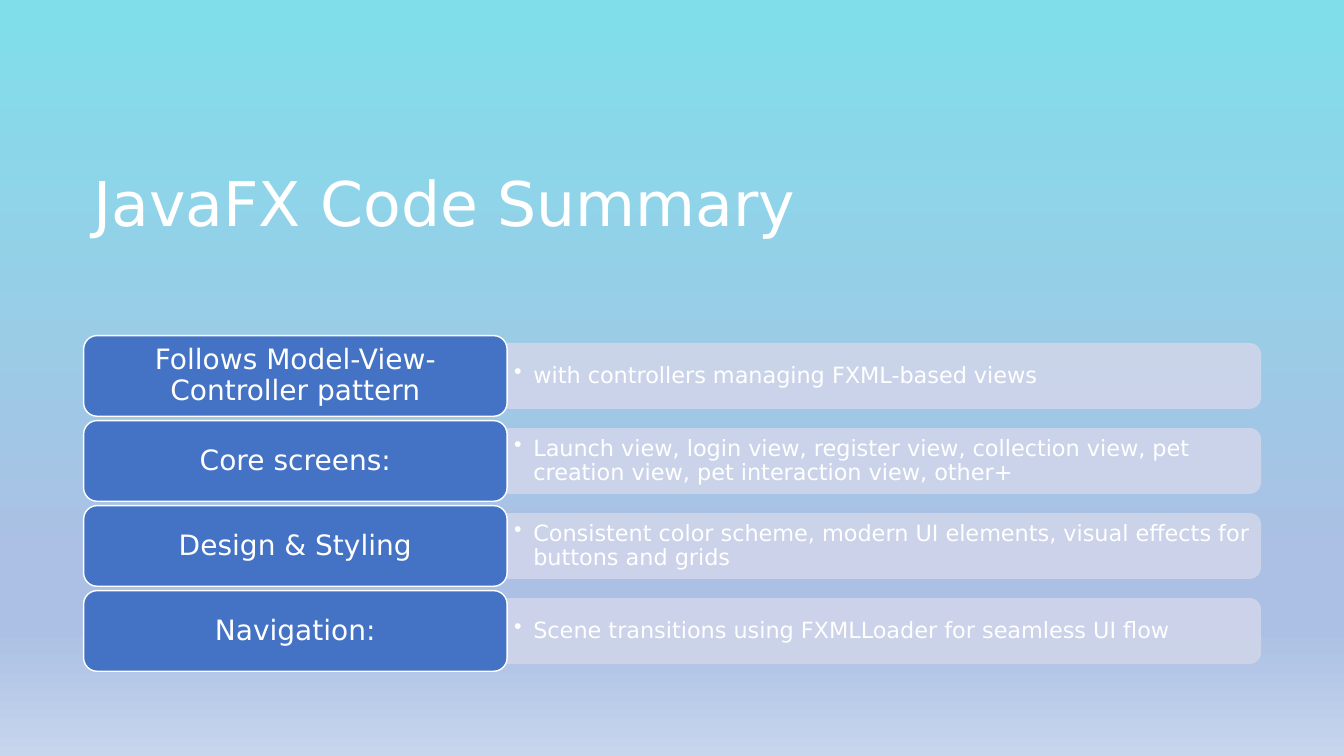
"""Build the JavaFX code summary slide with four labelled rows."""
from dataclasses import dataclass

from lxml.etree import SubElement
from pptx import Presentation
from pptx.dml.color import RGBColor
from pptx.enum.shapes import MSO_SHAPE as Preset
from pptx.enum.text import MSO_ANCHOR as Anchor, PP_ALIGN as Align
from pptx.oxml.ns import qn
from pptx.util import Inches, Pt


@dataclass(frozen=True)
class Theme:
    font: str = "DejaVu Sans"
    white: str = "FFFFFF"
    label_fill: str = "4472C4"
    bar_fill: str = "CFD5EA"
    bar_opacity: int = 90
    title_size: int = 44
    label_size: int = 20
    detail_size: int = 16
    sky: tuple = ((0, "80DEEA"), (74, "ABC0E4"), (83, "ABC0E4"), (100, "C7D5ED"))


theme = Theme()


def write(shape, text, size, inset_x, inset_y, anchor, align):
    """Fill a shape with one white paragraph and return the paragraph."""
    frame = shape.text_frame
    frame.word_wrap = True
    frame.vertical_anchor = anchor
    frame.margin_left = frame.margin_right = Inches(inset_x)
    frame.margin_top = frame.margin_bottom = Inches(inset_y)
    frame.text = text
    para = frame.paragraphs[0]
    para.alignment = align
    para.line_spacing = 0.9
    font = para.runs[0].font
    font.name = theme.font
    font.size = Pt(size)
    font.color.rgb = RGBColor.from_string(theme.white)
    return para


def paint(shape, fill, line):
    """Give a shape a solid fill, a one-point line and no shadow."""
    shape.shadow.inherit = False
    shape.fill.solid()
    shape.fill.fore_color.rgb = RGBColor.from_string(fill)
    shape.line.width = Pt(1)
    shape.line.color.rgb = RGBColor.from_string(line)


deck = Presentation()
deck.slide_width = Inches(13.33)
deck.slide_height = Inches(7.5)
page = deck.slides.add_slide(deck.slide_layouts[6])

sky = page.background.fill
sky.gradient()
sky.gradient_angle = 270
stops = page.element.find(".//" + qn("a:gsLst"))
for stop in list(stops):
    stops.remove(stop)
for position, color in theme.sky:
    stop = SubElement(stops, qn("a:gs"), pos=str(position * 1000))
    SubElement(stop, qn("a:srgbClr"), val=color)

title = page.shapes.add_textbox(Inches(0.83), Inches(1.67), Inches(10), Inches(1.38))
write(title, "JavaFX Code Summary", theme.title_size, 0.1, 0.05, Anchor.TOP, Align.LEFT)

rows = [
    ("Follows Model-View-Controller pattern",
     "with controllers managing FXML-based views"),
    ("Core screens:",
     "Launch view, login view, register view, collection view, "
     "pet creation view, pet interaction view, other+"),
    ("Design & Styling",
     "Consistent color scheme, modern UI elements, visual effects for buttons and grids"),
    ("Navigation:",
     "Scene transitions using FXMLLoader for seamless UI flow"),
]
label_left, label_width, label_height = 0.83, 4.2, 0.8
bar_left = label_left + label_width
bar_length, bar_height = 7.47, 0.64
detail_width, detail_height = 7.44, 0.58
first_top, last_top = 3.33, 5.86
pitch = (last_top - first_top) / (len(rows) - 1)

for index, (label_text, detail_text) in enumerate(rows):
    top = first_top + index * pitch
    middle = top + label_height / 2

    bar = page.shapes.add_shape(
        Preset.ROUND_2_SAME_RECTANGLE,
        Inches(bar_left + (bar_length - bar_height) / 2),
        Inches(middle - bar_length / 2),
        Inches(bar_height), Inches(bar_length))
    bar.rotation = 90
    paint(bar, theme.bar_fill, theme.bar_fill)
    for color in bar.element.spPr.iter(qn("a:srgbClr")):
        SubElement(color, qn("a:alpha"), val=str(theme.bar_opacity * 1000))

    detail = page.shapes.add_textbox(
        Inches(bar_left), Inches(middle - detail_height / 2),
        Inches(detail_width), Inches(detail_height))
    para = write(detail, detail_text, theme.detail_size, 0.07, 0.03, Anchor.MIDDLE, Align.LEFT)
    properties = para._p.get_or_add_pPr()
    properties.set("marL", str(Inches(0.19)))
    properties.set("indent", str(Inches(-0.19)))
    SubElement(properties, qn("a:buChar"), char="•")

    label = page.shapes.add_shape(
        Preset.ROUNDED_RECTANGLE, Inches(label_left), Inches(top),
        Inches(label_width), Inches(label_height))
    paint(label, theme.label_fill, theme.white)
    write(label, label_text, theme.label_size, 0.08, 0.04, Anchor.MIDDLE, Align.CENTER)

deck.save("out.pptx")
